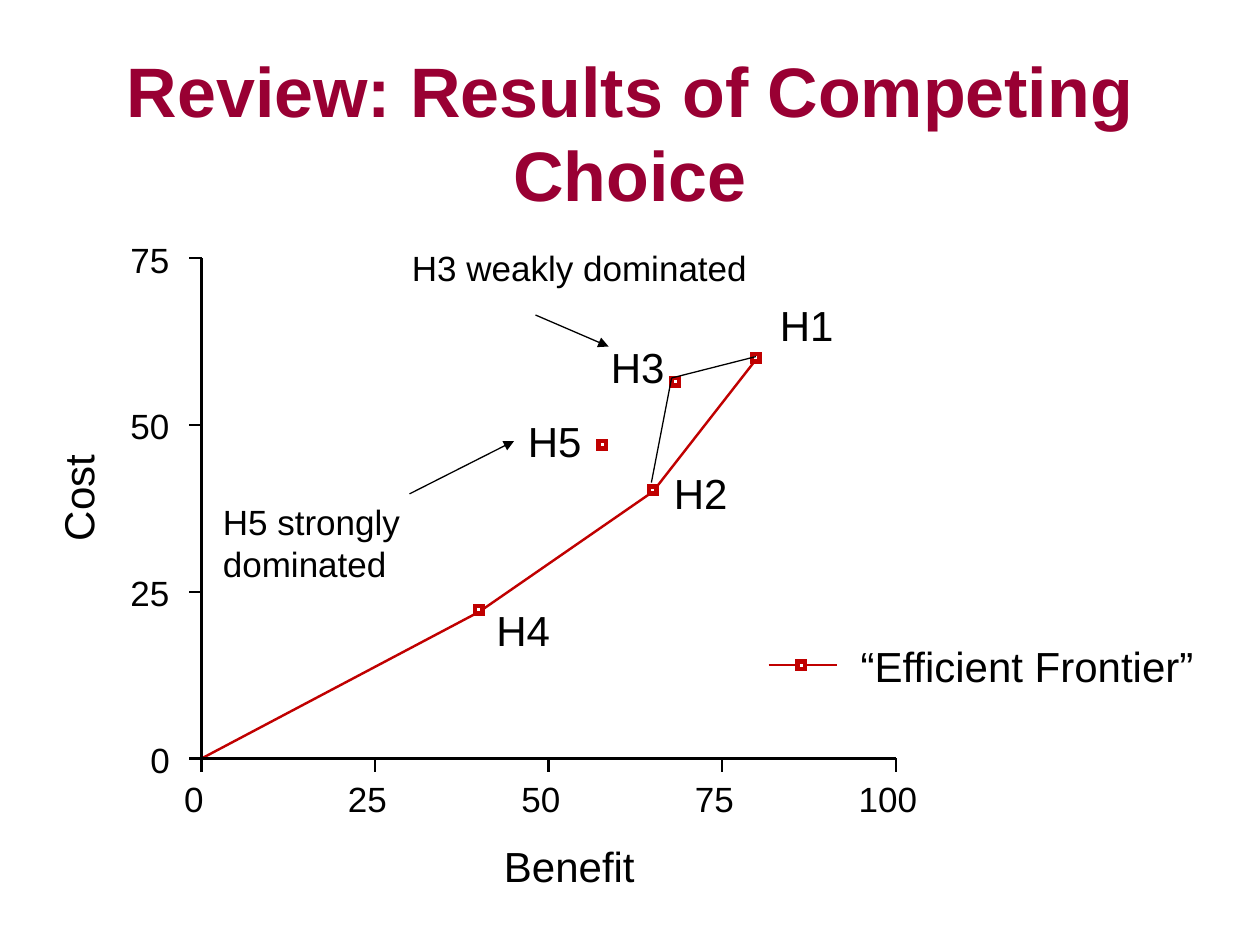
from pptx import Presentation
from pptx.dml.color import RGBColor
from pptx.enum.shapes import MSO_CONNECTOR, MSO_SHAPE
from pptx.enum.text import MSO_ANCHOR, MSO_AUTO_SIZE, PP_ALIGN
from pptx.oxml.ns import qn
from pptx.util import Inches, Pt
from lxml.etree import SubElement

color = RGBColor.from_string
RED, BLACK, WHITE, MAROON = "C00000", "000000", "FFFFFF", "990033"

deck = Presentation()
deck.slide_width, deck.slide_height = Inches(10), Inches(7.5)
slide = deck.slides.add_slide(deck.slide_layouts[5])

# Plot grid: the axes run to 100 (benefit) and 75 (cost)
left, bottom, plot_width, plot_height = 1.6, 6.02, 5.51, 3.97
column, row = plot_width / 100, plot_height / 75
right, top = left + plot_width, bottom - plot_height


def draw_line(start, end, ink=BLACK, weight=1.39, arrow=False):
    line = slide.shapes.add_connector(
        MSO_CONNECTOR.STRAIGHT, *[Inches(v) for v in (*start, *end)])
    line.line.color.rgb = color(ink)
    line.line.width = Pt(weight)
    if arrow:
        SubElement(line.line._get_or_add_ln(), qn("a:tailEnd"), type="triangle")
    SubElement(line._element.spPr, qn("a:effectLst"))


def write(text, x, y, width, height, size=24, inset=(0, 0), wrap=False, turn=0):
    box = slide.shapes.add_textbox(*[Inches(v) for v in (x, y, width, height)])
    box.rotation = turn
    side, edge = Inches(inset[0]), Inches(inset[1])
    frame_format = {"margin_left": side, "margin_right": side,
                    "margin_top": edge, "margin_bottom": edge,
                    "word_wrap": wrap, "auto_size": MSO_AUTO_SIZE.SHAPE_TO_FIT_TEXT}
    for name, value in frame_format.items():
        setattr(box.text_frame, name, value)
    paragraph = box.text_frame.paragraphs[0]
    paragraph.text = text
    for name, value in {"name": "Arial", "size": Pt(size)}.items():
        setattr(paragraph.font, name, value)
    paragraph.font.color.rgb = color(BLACK)


# Title
title = slide.shapes.title
title_format = {"left": 0.75, "top": 0.42, "width": 8.5, "height": 1.25}
for name, value in title_format.items():
    setattr(title, name, Inches(value))
title.text_frame.text = "Review: Results of Competing Choice"
title.text_frame.vertical_anchor = MSO_ANCHOR.MIDDLE
heading = title.text_frame.paragraphs[0]
heading.alignment = PP_ALIGN.CENTER
for name, value in {"name": "Arial", "size": Pt(40), "bold": True}.items():
    setattr(heading.font, name, value)
heading.font.color.rgb = color(MAROON)

# Efficient frontier
frontier = [(left + benefit * column, bottom - cost * row)
            for benefit, cost in [(0, 0), (40, 22), (65, 40), (80, 60)]]
for start, end in zip(frontier, frontier[1:]):
    draw_line(start, end, RED)

# Axes with ticks and numbers
digit_width = 0.157
draw_line((left, bottom), (right, bottom))
for benefit in range(0, 101, 25):
    x, label = left + benefit * column, str(benefit)
    width = digit_width * len(label)
    draw_line((x, bottom), (x, bottom + 0.11))
    write(label, x - 0.06 - width / 2, bottom + 0.15, width, 0.33, 20)
draw_line((left, bottom), (left, top))
for cost in range(0, 76, 25):
    y, label = bottom - cost * row, str(cost)
    width = digit_width * len(label)
    draw_line((left, y), (left - 0.1, y))
    write(label, left - 0.25 - width, y - 0.16, width, 0.33, 20)
write("Benefit", 4, 6.67, 1.04, 0.4)
write("Cost", 0.27, 3.75, 0.69, 0.4, turn=270)

# Legend line and wording
write("“Efficient Frontier”", 6.83, 5.08, 2.65, 0.4)
draw_line((6.1, 5.28), (6.64, 5.28), RED)

# Markers: frontier, legend, then the dominated H5 and H3
marker_size = 0.06
for x, y in [(3.8, 4.84), (5.18, 3.89), (6, 2.84), (6.36, 5.28), (4.78, 3.53), (5.36, 3.03)]:
    marker = slide.shapes.add_shape(
        MSO_SHAPE.RECTANGLE, Inches(x - marker_size / 2), Inches(y - marker_size / 2),
        Inches(marker_size), Inches(marker_size))
    marker.shadow.inherit = False
    marker.fill.solid()
    marker.fill.fore_color.rgb = color(WHITE)
    marker.line.color.rgb = color(RED)
    marker.line.width = Pt(2.64)
    SubElement(marker.line._get_or_add_ln(), qn("a:miter"), lim="800000")

# Names of the choices
padding = (0.1, 0.05)
for choice, x, y in [("H4", 3.84, 4.75), ("H2", 5.25, 3.66), ("H1", 6.09, 2.33),
                     ("H3", 4.75, 2.66), ("H5", 4.09, 3.25)]:
    write(choice, x, y, 0.65, 0.5, inset=padding)

# Dominance remarks and their arrows
write("H3 weakly dominated", 3.17, 1.91, 2.86, 0.44, 20, padding)
write("H5 strongly dominated", 1.67, 3.92, 1.95, 0.77, 20, padding, wrap=True)
draw_line((3.25, 3.92), (4.08, 3.5), weight=0.75, arrow=True)
draw_line((4.25, 2.5), (4.83, 2.75), weight=0.75, arrow=True)

# Thin lines from H3 to its neighbours on the frontier
for neighbour in [(6, 2.83), (5.17, 3.83)]:
    draw_line(neighbour, (5.33, 3), weight=0.75)

deck.save("out.pptx")
